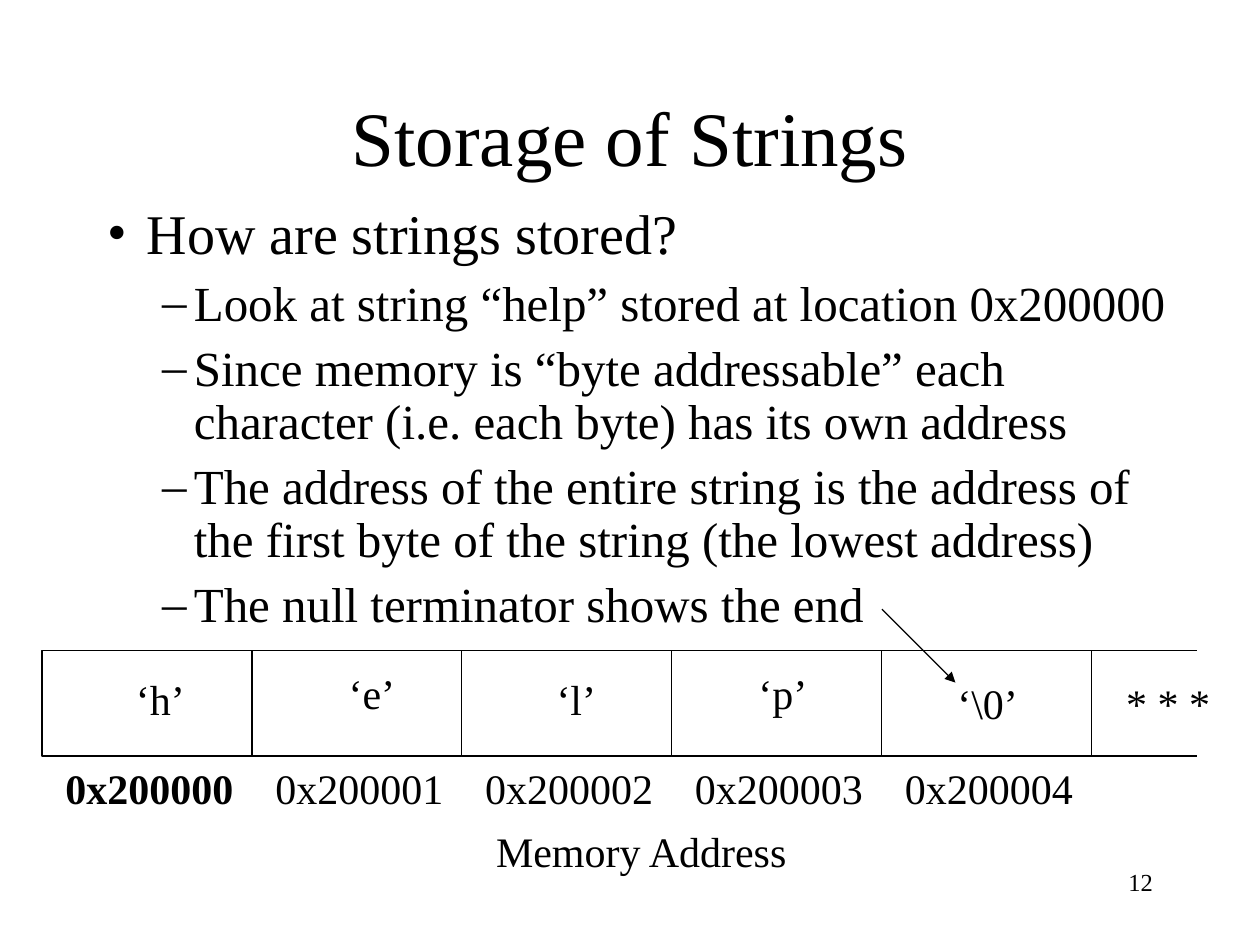
from lxml.etree import SubElement
from pptx import Presentation
from pptx.dml.color import RGBColor
from pptx.enum.shapes import MSO_CONNECTOR, MSO_SHAPE
from pptx.enum.text import MSO_ANCHOR, MSO_AUTO_SIZE, PP_ALIGN
from pptx.oxml.ns import qn
from pptx.util import Cm, Pt

COLORS = {"ink": "000000", "paper": "FFFFFF"}
FONT = "Times New Roman"
CELL_LEFT, CELL_TOP, CELL_WIDTH, CELL_HEIGHT = 0.85, 13.12, 4.23, 2.12
LABEL_HEIGHT = 1.27
BYTES = [
    ("‘h’", 2.49, 13.46, 1.5),
    ("‘e’", 6.78, 13.34, 1.45),
    ("‘l’", 10.97, 13.46, 1.3),
    ("‘p’", 15.04, 13.34, 1.5),
    ("‘\\0’", 19.05, 13.54, 1.73),
]
BULLETS = [
    (0, "How are strings stored?"),
    (1, "Look at string “help” stored at location 0x200000"),
    (1, "Since memory is “byte addressable” each character (i.e. each byte) has its own address"),
    (1, "The address of the entire string is the address of the first byte of the string (the lowest address)"),
    (1, "The null terminator shows the end"),
]
LEVELS = [
    {"size": 32, "before": 8, "left": 0.8, "hang": 0.8, "mark": "•"},
    {"size": 28, "before": 7, "left": 1.75, "hang": 0.64, "mark": "–"},
]


def color(name):
    return RGBColor.from_string(COLORS[name])


def style_paragraph(paragraph, text, size, bold=False, align=PP_ALIGN.LEFT):
    paragraph.text = text
    paragraph.alignment = align
    font = paragraph.font
    font.name, font.size, font.bold = FONT, Pt(size), bold
    font.color.rgb = color("ink")


def add_frame(slide, left, top, width, height, wrap=True):
    shape = slide.shapes.add_textbox(Cm(left), Cm(top), Cm(width), Cm(height))
    shape.text_frame.word_wrap = wrap
    return shape.text_frame


def add_label(slide, text, left, top, width, bold=False):
    frame = add_frame(slide, left, top, width, LABEL_HEIGHT, wrap=False)
    frame.auto_size = MSO_AUTO_SIZE.SHAPE_TO_FIT_TEXT
    style_paragraph(frame.paragraphs[0], text, 24, bold)


def add_title(slide, text):
    frame = add_frame(slide, 1.9, 1.69, 21.6, 2.12)
    frame.vertical_anchor = MSO_ANCHOR.BOTTOM
    paragraph = frame.paragraphs[0]
    style_paragraph(paragraph, text, 44, align=PP_ALIGN.CENTER)
    paragraph.line_spacing = 0.9


def set_bullet(paragraph, look):
    properties = paragraph._p.get_or_add_pPr()
    properties.set("marL", str(Cm(look["left"])))
    properties.set("indent", str(-Cm(look["hang"])))
    bullet_color = SubElement(properties, qn("a:buClr"))
    SubElement(bullet_color, qn("a:srgbClr"), val=COLORS["ink"])
    bullet_font = SubElement(properties, qn("a:buFont"), typeface=FONT)
    bullet_mark = SubElement(properties, qn("a:buChar"), char=look["mark"])
    for element in (bullet_color, bullet_font, bullet_mark):
        properties.remove(element)
        properties.insert_element_before(element, "a:tabLst", "a:defRPr", "a:extLst")


def add_bullets(slide):
    frame = add_frame(slide, 1.91, 4.03, 22.22, 11.43)
    for index, (level, text) in enumerate(BULLETS):
        paragraph = frame.add_paragraph() if index else frame.paragraphs[0]
        look = LEVELS[level]
        style_paragraph(paragraph, text, look["size"])
        paragraph.level = level
        paragraph.line_spacing = 0.9
        paragraph.space_before = Pt(look["before"])
        set_bullet(paragraph, look)


def add_cell(slide, left):
    shape = slide.shapes.add_shape(
        MSO_SHAPE.RECTANGLE, Cm(left), Cm(CELL_TOP), Cm(CELL_WIDTH), Cm(CELL_HEIGHT)
    )
    shape.shadow.inherit = False
    shape.fill.background()
    shape.line.color.rgb = color("ink")
    shape.line.width = Pt(0.75)


def add_line(slide, start, end, arrow=False):
    points = [Cm(value) for value in (*start, *end)]
    connector = slide.shapes.add_connector(MSO_CONNECTOR.STRAIGHT, *points)
    connector.line.color.rgb = color("ink")
    connector.line.width = Pt(0.75)
    if arrow:
        SubElement(connector.line._get_or_add_ln(), qn("a:tailEnd"), type="triangle")
    SubElement(connector._element.spPr, qn("a:effectLst"))


def add_memory(slide):
    for index, (character, left, top, width) in enumerate(BYTES):
        cell_left = CELL_LEFT + index * CELL_WIDTH
        add_cell(slide, cell_left)
        add_label(slide, character, left, top, width)
        add_label(slide, f"0x20000{index}", cell_left + 0.22,
                  CELL_TOP + CELL_HEIGHT, 3.89, bold=index == 0)
    right = CELL_LEFT + len(BYTES) * CELL_WIDTH
    for y in (CELL_TOP, CELL_TOP + CELL_HEIGHT):
        add_line(slide, (right, y), (24.13, y))
    add_label(slide, "* * *", 22.45, 13.54, 2.3)
    add_label(slide, "Memory Address", 9.75, 16.51, 6.4)
    add_line(slide, (17.78, 12.28), (19.26, 13.76), arrow=True)


def add_slide_number(slide, text):
    frame = add_frame(slide, 18.21, 17.35, 5.28, LABEL_HEIGHT)
    style_paragraph(frame.paragraphs[0], text, 14, align=PP_ALIGN.RIGHT)


def main():
    presentation = Presentation()
    presentation.slide_width, presentation.slide_height = Cm(25.4), Cm(19.05)
    slide = presentation.slides.add_slide(presentation.slide_layouts[6])
    slide.background.fill.solid()
    slide.background.fill.fore_color.rgb = color("paper")
    add_title(slide, "Storage of Strings")
    add_bullets(slide)
    add_memory(slide)
    add_slide_number(slide, "12")
    presentation.save("out.pptx")


if __name__ == "__main__":
    main()
